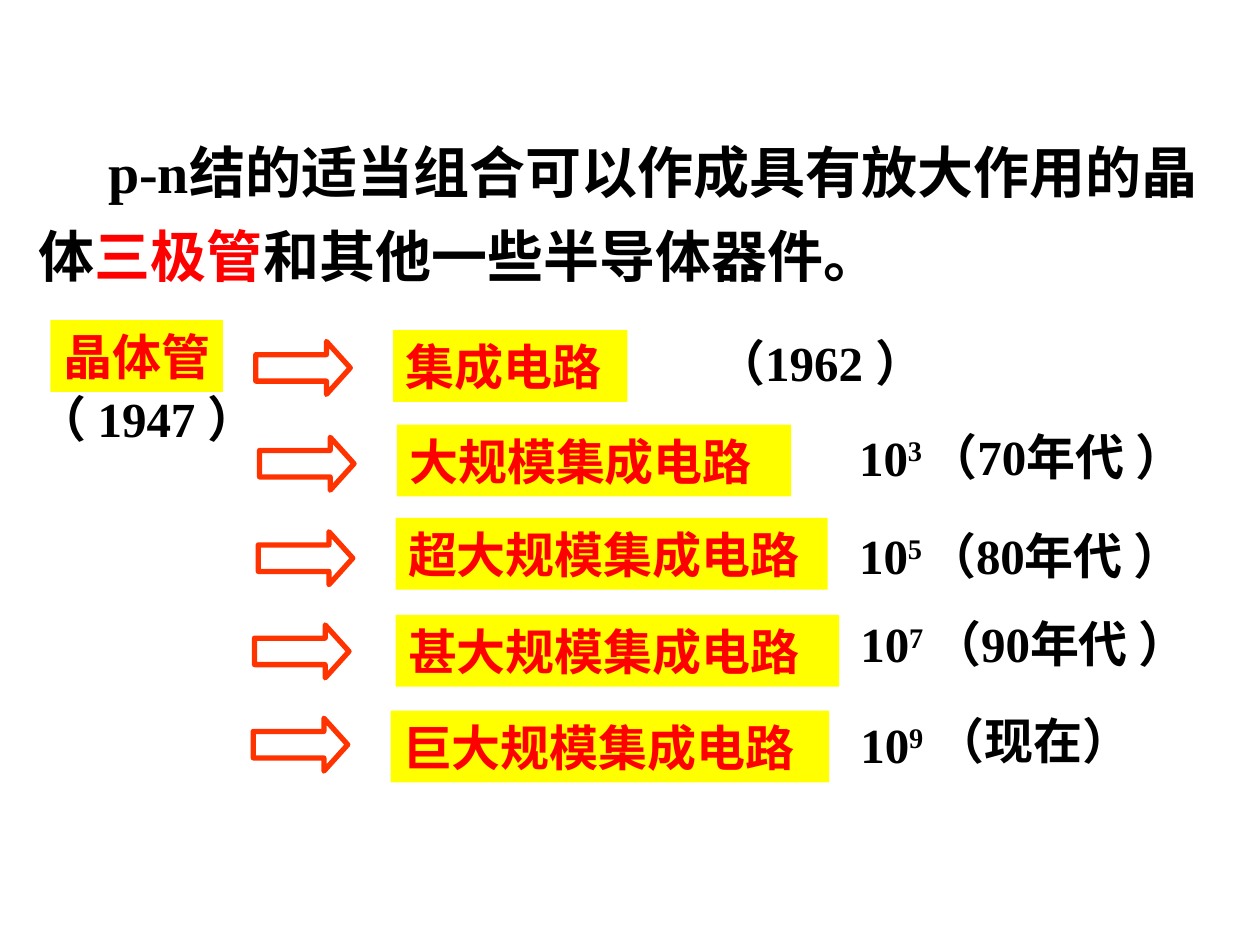
from pptx import Presentation
from pptx import util as u
from pptx.dml.color import RGBColor
from pptx.enum import shapes, text

BLACK, RED, YELLOW, ORANGE = "000000", "FF0000", "FFFF00", "FF3300"
ROW_HEIGHT = 0.57
ARROW_SIZE = (0.75, 0.42)

INTRO = [
    ("p-n结的适当组合可以作成具有放大作用的晶体", BLACK),
    ("三极管", RED),
    ("和其他一些半导体器件。", BLACK),
]
LABELS = [
    ("晶体管", 0.4, 2.54, 1.37),
    ("集成电路", 3.12, 2.62, 1.86),
    ("大规模集成电路", 3.15, 3.37, 3.13),
    ("超大规模集成电路", 3.14, 4.11, 3.43),
    ("甚大规模集成电路", 3.14, 4.88, 3.52),
    ("巨大规模集成电路", 3.1, 5.64, 3.48),
]
ARROWS = [(2.03, 2.71), (2.06, 3.47), (2.05, 4.22), (2.02, 4.96), (2.01, 5.7)]
DATES = [
    ("（ 1947 ）", 0.2, 3.03, 2.92),
    ("（1962 ）", 5.11, 2.59, 2.8),
    ("（70年代 ）", 7.27, 3.33, 2.56),
    ("（80年代 ）", 7.26, 4.12, 2.43),
    ("（90年代 ）", 7.3, 4.82, 2.72),
    ("（现在）", 7.33, 5.59, 2.73),
]
POWERS = [("3", 6.72, 3.34), ("5", 6.72, 4.12), ("7", 6.73, 4.82), ("9", 6.73, 5.62)]
CENTRED = {"晶体管", "（1962 ）"}


def color(value):
    return RGBColor.from_string(value)


def add_text(slide, runs, left, top, width, height=ROW_HEIGHT, size=28, fill=None):
    place = [u.Inches(value) for value in (left, top, width, height)]
    if fill:
        shape = slide.shapes.add_shape(shapes.MSO_SHAPE.RECTANGLE, *place)
        shape.shadow.inherit = False
        shape.fill.solid()
        shape.fill.fore_color.rgb = color(fill)
        shape.line.fill.background()
    else:
        shape = slide.shapes.add_textbox(*place)
    frame = shape.text_frame
    frame.word_wrap = True
    frame.vertical_anchor = text.MSO_ANCHOR.MIDDLE
    paragraph = frame.paragraphs[0]
    centred = runs[0][0] in CENTRED
    paragraph.alignment = text.PP_ALIGN.CENTER if centred else text.PP_ALIGN.LEFT
    paragraph.font.name = "Times New Roman"
    paragraph.font.size = u.Pt(size)
    paragraph.font.bold = True
    for words, shade in runs:
        run = paragraph.add_run()
        run.text = words
        run.font.color.rgb = color(shade)
    return paragraph


def add_arrow(slide, left, top):
    place = [u.Inches(value) for value in (left, top, *ARROW_SIZE)]
    arrow = slide.shapes.add_shape(shapes.MSO_SHAPE.RIGHT_ARROW, *place)
    arrow.adjustments[0] = 0.5
    arrow.adjustments[1] = 0.45
    arrow.shadow.inherit = False
    arrow.fill.background()
    arrow.line.color.rgb = color(ORANGE)
    arrow.line.width = u.Pt(3)


def main():
    presentation = Presentation()
    presentation.slide_width = u.Inches(10)
    presentation.slide_height = u.Inches(7.5)
    slide = presentation.slides.add_slide(presentation.slide_layouts[6])

    intro = add_text(slide, INTRO, 0.21, 0.91, 9.67, 1.43, size=32)
    intro.line_spacing = 1.25
    intro._p.get_or_add_pPr().set("indent", str(u.Inches(0.55)))

    for words, left, top, width in LABELS:
        add_text(slide, [(words, RED)], left, top, width, fill=YELLOW)
    for left, top in ARROWS:
        add_arrow(slide, left, top)
    for words, left, top, width in DATES:
        add_text(slide, [(words, BLACK)], left, top, width)
    for exponent, left, top in POWERS:
        power = add_text(slide, [("10", BLACK), (exponent, BLACK)], left, top, 1.1)
        power.runs[1]._r.get_or_add_rPr().set("baseline", "30000")

    presentation.save("out.pptx")


if __name__ == "__main__":
    main()
